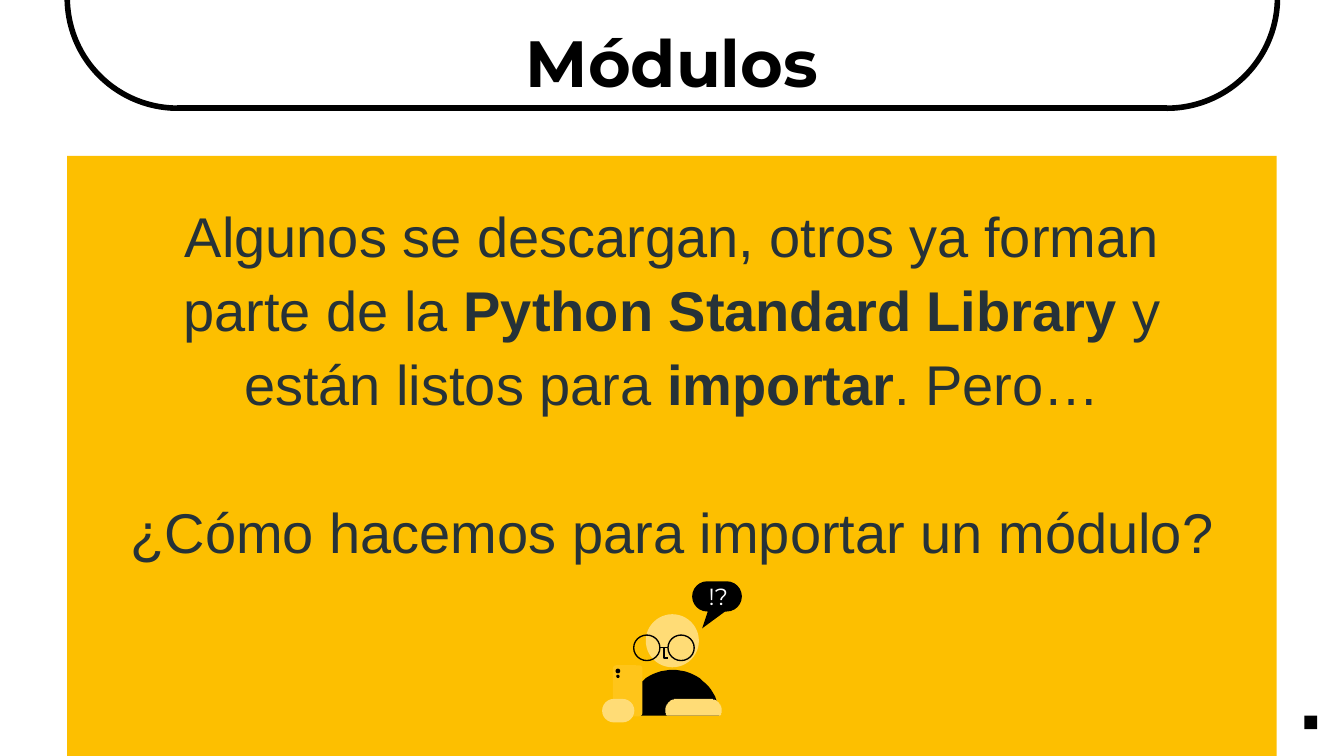
import math

import pptx
import pptx.dml.color
import pptx.enum.shapes
import pptx.enum.text
import pptx.util
from lxml import etree

PX = 9144  # EMU per px, 100 px to the inch
SHAPES = pptx.enum.shapes.MSO_SHAPE
THEME = {
    "black": "000000", "white": "FFFFFF", "yellow": "FDBF00", "phone": "FFC51A",
    "skin": "FFDC76", "body": "263238",
    "title_size": 70, "body_size": 60, "bubble_size": 25,
    "frame_line": 6, "thin_line": 1.44,
    "title_font": "Montserrat", "body_font": "Arial",
}


def rgb(name):
    return pptx.dml.color.RGBColor.from_string(THEME[name])


def paint(shape, fill=None, line=None):
    """Set fill colour and black line weight; None means neither."""
    shape.shadow.inherit = False
    if fill:
        shape.fill.solid()
        shape.fill.fore_color.rgb = rgb(fill)
    else:
        shape.fill.background()
    if line:
        shape.line.color.rgb = rgb("black")
        shape.line.width = pptx.util.Pt(THEME[line])
    else:
        shape.line.fill.background()


presentation = pptx.Presentation()
presentation.slide_width = 2000 * PX
presentation.slide_height = 1125 * PX
slide = presentation.slides.add_slide(presentation.slide_layouts[6])
shapes = slide.shapes

# Corner mark, yellow panel and the person's head
for kind, left, top, width, height, fill in [
    (SHAPES.RECTANGLE, 1941, 1065, 19, 20, "black"),
    (SHAPES.RECTANGLE, 100, 232, 1800, 893, "yellow"),
    (SHAPES.OVAL, 961, 914, 79, 79, "skin"),
]:
    paint(shapes.add_shape(kind, left * PX, top * PX, width * PX, height * PX), fill)

# Title frame corners
for left, rotation in [(1572, 90), (100, 180)]:
    arc = shapes.add_shape(SHAPES.ARC, left * PX, -168 * PX, 329 * PX, 329 * PX)
    arc.rotation = rotation
    paint(arc, line="frame_line")

# Title frame base and the bridge of the glasses
for start, end, y, weight in [(1736, 264, 161, "frame_line"), (982, 994, 964, "thin_line")]:
    connector = shapes.add_connector(
        pptx.enum.shapes.MSO_CONNECTOR.STRAIGHT, start * PX, y * PX, end * PX, y * PX)
    connector.line.color.rgb = rgb("black")
    connector.line.width = pptx.util.Pt(THEME[weight])
    etree.SubElement(connector._element.spPr, pptx.oxml.ns.qn("a:effectLst"))

# Title and message: each paragraph is a list of (text, bold) runs
title = [[("Módulos", True)]]
message = [
    [("Algunos se descargan, otros ya forman parte de la ", False),
     ("Python Standard Library", True), (" y están listos para ", False),
     ("importar", True), (". Pero…", False)],
    [("¿Cómo hacemos para importar un módulo?", False)],
]
for left, top, width, height, paragraphs, size, font, color in [
    (100, 21, 1800, 118, title, "title_size", "title_font", "black"),
    (193, 290, 1614, 545, message, "body_size", "body_font", "body"),
]:
    frame = shapes.add_textbox(left * PX, top * PX, width * PX, height * PX).text_frame
    frame.word_wrap = True
    frame.margin_left = frame.margin_right = frame.margin_top = frame.margin_bottom = 0
    for index, runs in enumerate(paragraphs):
        paragraph = frame.add_paragraph() if index else frame.paragraphs[0]
        paragraph.alignment = pptx.enum.text.PP_ALIGN.CENTER
        paragraph.line_spacing = 1.1
        if index:
            paragraph.space_before = pptx.util.Pt(79)
        for text, bold in runs:
            run = paragraph.add_run()
            run.text = text
            run.font.bold = bold
            run.font.name = THEME[font]
            run.font.size = pptx.util.Pt(THEME[size])
            run.font.color.rgb = rgb(color)

# Outlines of the person: torso, forearm with a flat base, speech tail and nose
torso = [(1001 + 69 * math.cos(math.radians(angle)), 1065 - 68 * math.sin(math.radians(angle)))
         for angle in range(0, 181, 5)]
forearm = [(center + 17 * math.cos(math.radians(angle)), 1057 - 17 * math.sin(math.radians(angle)))
           for center, first in [(1057, -28), (1007, 90)]
           for angle in range(first, first + 119, 2)]
tail = [(1055, 905), (1045, 935), (1079, 910), (1079, 905)]
nose = [(988, 964), (988, 979), (994, 979)]
for points, close, fill, line in [
    (torso, True, "black", None),
    (forearm, True, "skin", None),
    (tail, True, "black", None),
    (nose, False, None, "thin_line"),
]:
    builder = shapes.build_freeform(*points[0], scale=PX)
    builder.add_line_segments(points[1:], close=close)
    paint(builder.convert_to_shape(), fill, line)

# Lenses, phone with camera and flash, hand, and the speech bubble last
for kind, left, top, width, height, fill, line, corner in [
    (SHAPES.OVAL, 943, 945, 39, 38, None, "thin_line", None),
    (SHAPES.OVAL, 994, 945, 39, 38, None, "thin_line", None),
    (SHAPES.ROUNDED_RECTANGLE, 912, 990, 44, 76, "phone", None, 0.11),
    (SHAPES.OVAL, 916, 995, 7, 7, "black", None, None),
    (SHAPES.OVAL, 917, 1004, 5, 5, "black", None, None),
    (SHAPES.ROUNDED_RECTANGLE, 896, 1040, 48, 35, "skin", None, 0.5),
    (SHAPES.ROUNDED_RECTANGLE, 1030, 865, 74, 45, "black", None, 0.5),
]:
    shape = shapes.add_shape(kind, left * PX, top * PX, width * PX, height * PX)
    if corner:
        shape.adjustments[0] = corner
    paint(shape, fill, line)

bubble = shape
frame = bubble.text_frame
frame.margin_left = 4 * PX
frame.margin_right = frame.margin_top = frame.margin_bottom = 0
frame.word_wrap = False
frame.vertical_anchor = pptx.enum.text.MSO_ANCHOR.MIDDLE
paragraph = frame.paragraphs[0]
paragraph.text = "!?"
paragraph.alignment = pptx.enum.text.PP_ALIGN.CENTER
paragraph.font.name = THEME["title_font"]
paragraph.font.size = pptx.util.Pt(THEME["bubble_size"])
paragraph.font.color.rgb = rgb("white")

presentation.save("out.pptx")
